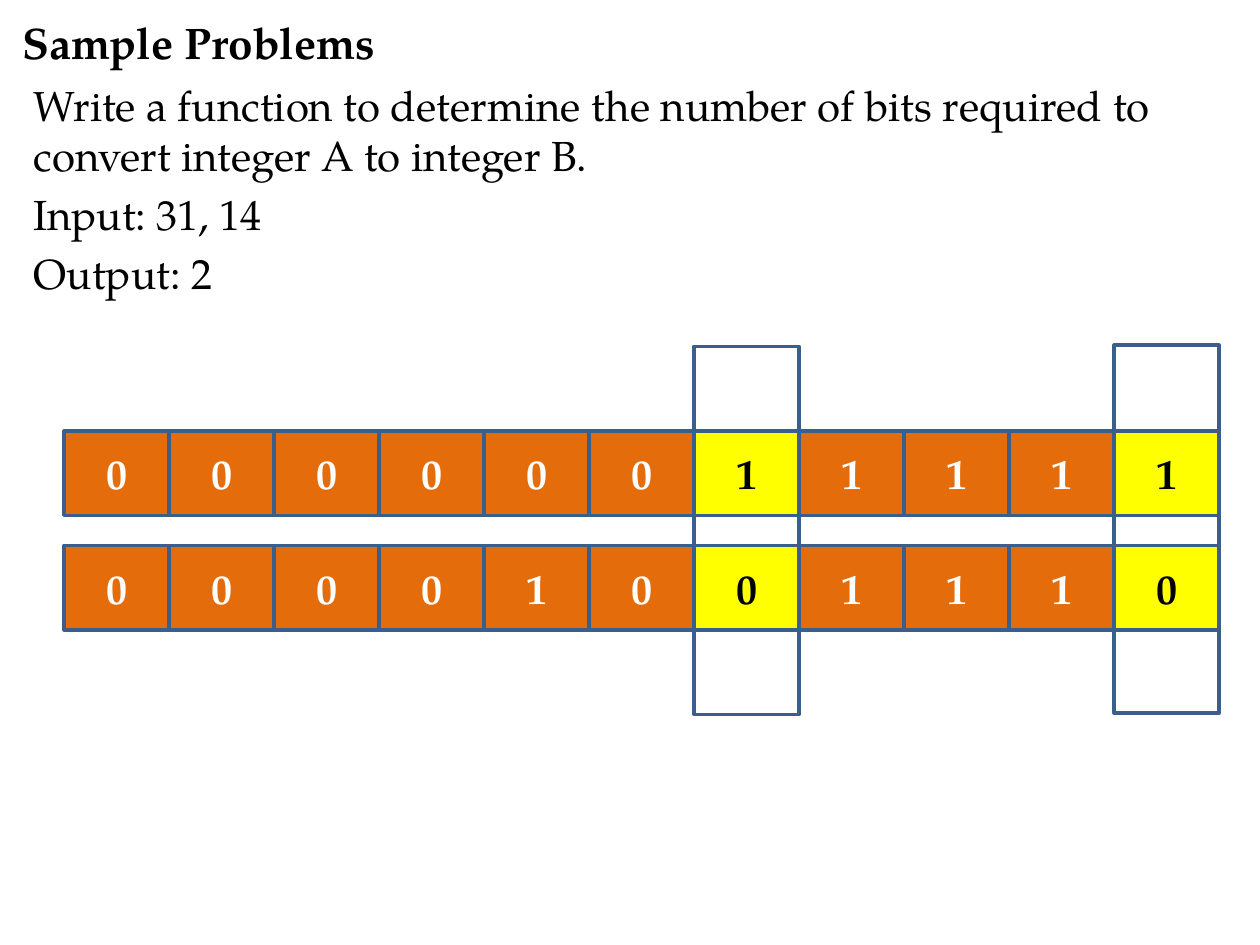
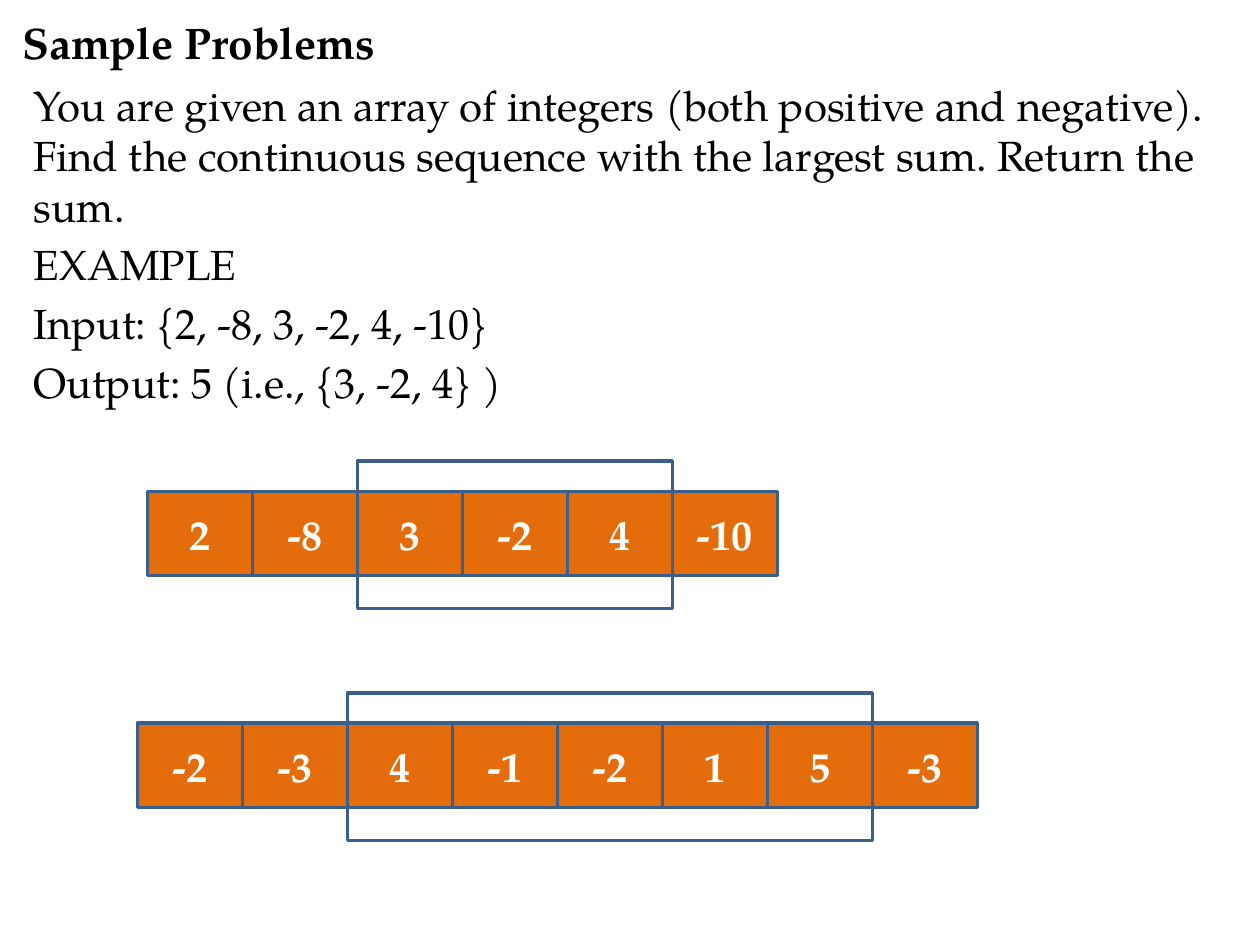
from pptx import Presentation
from pptx.dml.color import RGBColor
from pptx.enum.shapes import MSO_SHAPE as Shape
from pptx.enum.text import MSO_ANCHOR as Anchor, PP_ALIGN as Align
from pptx.util import Inches, Pt

# Content: rows and frames use inches for left, top and height
TITLE = "Sample Problems"
PROBLEMS = [
    {
        "text": [
            "Write a function to determine the number of bits required to "
            "convert integer A to integer B.",
            "Input: 31, 14",
            "Output: 2",
        ],
        "frames": [
            {"left": 0.51, "top": 2.75, "height": 2.92, "first": 6, "count": 1},
            {"left": 0.51, "top": 2.74, "height": 2.92, "first": 10, "count": 1},
        ],
        "rows": [
            {"left": 0.51, "top": 3.42, "values": "0 0 0 0 0 0 1 1 1 1 1", "marked": (6, 10)},
            {"left": 0.51, "top": 4.33, "values": "0 0 0 0 1 0 0 1 1 1 0", "marked": (6, 10)},
        ],
    },
    {
        "text": [
            "You are given an array of integers (both positive and negative). "
            "Find the continuous sequence with the largest sum. Return the sum.",
            "EXAMPLE",
            "Input: {2, -8, 3, -2, 4, -10}",
            "Output: 5 (i.e., {3, -2, 4} )",
        ],
        "frames": [
            {"left": 1.09, "top": 5.5, "height": 1.17, "first": 2, "count": 5},
            {"left": 1.17, "top": 3.66, "height": 1.17, "first": 2, "count": 3},
        ],
        "rows": [
            {"left": 1.09, "top": 5.74, "values": "-2 -3 4 -1 -2 1 5 -3", "marked": ()},
            {"left": 1.17, "top": 3.9, "values": "2 -8 3 -2 4 -10", "marked": ()},
        ],
    },
]

# Shared style
FONT = "TeX Gyre Pagella"
BLACK, WHITE = "000000", "FFFFFF"
ORANGE, YELLOW, OUTLINE = "E46C0A", "FFFF00", "3A5F8C"
TITLE_SIZE, TEXT_SIZE = 25.2, 24
CELL_WIDTH, CELL_HEIGHT = 10 / 12, 0.67


def color(value):
    return RGBColor.from_string(value)


def add_span(para, text, size=TEXT_SIZE, ink=BLACK, bold=False):
    span = para.add_run()
    span.text = text
    span.font.name = FONT
    span.font.size = Pt(size)
    span.font.bold = bold
    span.font.color.rgb = color(ink)


def add_box(shapes, left, top, width, height, fill):
    box = shapes.add_shape(
        Shape.RECTANGLE, Inches(left), Inches(top), Inches(width), Inches(height)
    )
    box.shadow.inherit = False
    box.fill.solid()
    box.fill.fore_color.rgb = color(fill)
    box.line.color.rgb = color(OUTLINE)
    box.line.width = Pt(2)
    return box


def add_title(slide):
    title = slide.shapes.title
    title.left, title.top = Inches(0.08), Inches(0.08)
    title.width, title.height = Inches(9.67), Inches(0.5)
    title.text_frame.vertical_anchor = Anchor.MIDDLE
    para = title.text_frame.paragraphs[0]
    para.alignment = Align.LEFT
    add_span(para, TITLE, TITLE_SIZE, bold=True)


def add_problem_text(slide, lines):
    box = slide.shapes.add_textbox(
        Inches(0.17), Inches(0.58), Inches(9.75), Inches(6.83)
    )
    frame = box.text_frame
    frame.word_wrap = True
    for index, line in enumerate(lines):
        para = frame.add_paragraph() if index else frame.paragraphs[0]
        if index:
            para.space_before = Pt(0.2 * TEXT_SIZE)
        add_span(para, line)


def add_frame(slide, left, top, height, first, count):
    add_box(slide.shapes, left + first * CELL_WIDTH, top,
            count * CELL_WIDTH, height, WHITE)


def add_row(slide, left, top, values, marked):
    group = slide.shapes.add_group_shape()
    for column, value in enumerate(values.split()):
        fill, ink = (YELLOW, BLACK) if column in marked else (ORANGE, WHITE)
        cell = add_box(group.shapes, left + column * CELL_WIDTH, top,
                       CELL_WIDTH, CELL_HEIGHT, fill)
        cell.text_frame.vertical_anchor = Anchor.MIDDLE
        para = cell.text_frame.paragraphs[0]
        para.alignment = Align.CENTER
        add_span(para, value, ink=ink, bold=True)


def main():
    deck = Presentation()
    deck.slide_width, deck.slide_height = Inches(10), Inches(7.5)
    title_only = deck.slide_layouts[5]
    for problem in PROBLEMS:
        slide = deck.slides.add_slide(title_only)
        add_title(slide)
        add_problem_text(slide, problem["text"])
        # Frames lie behind the cells they surround
        for frame in problem["frames"]:
            add_frame(slide, **frame)
        for row in problem["rows"]:
            add_row(slide, **row)
    deck.save("out.pptx")


if __name__ == "__main__":
    main()
